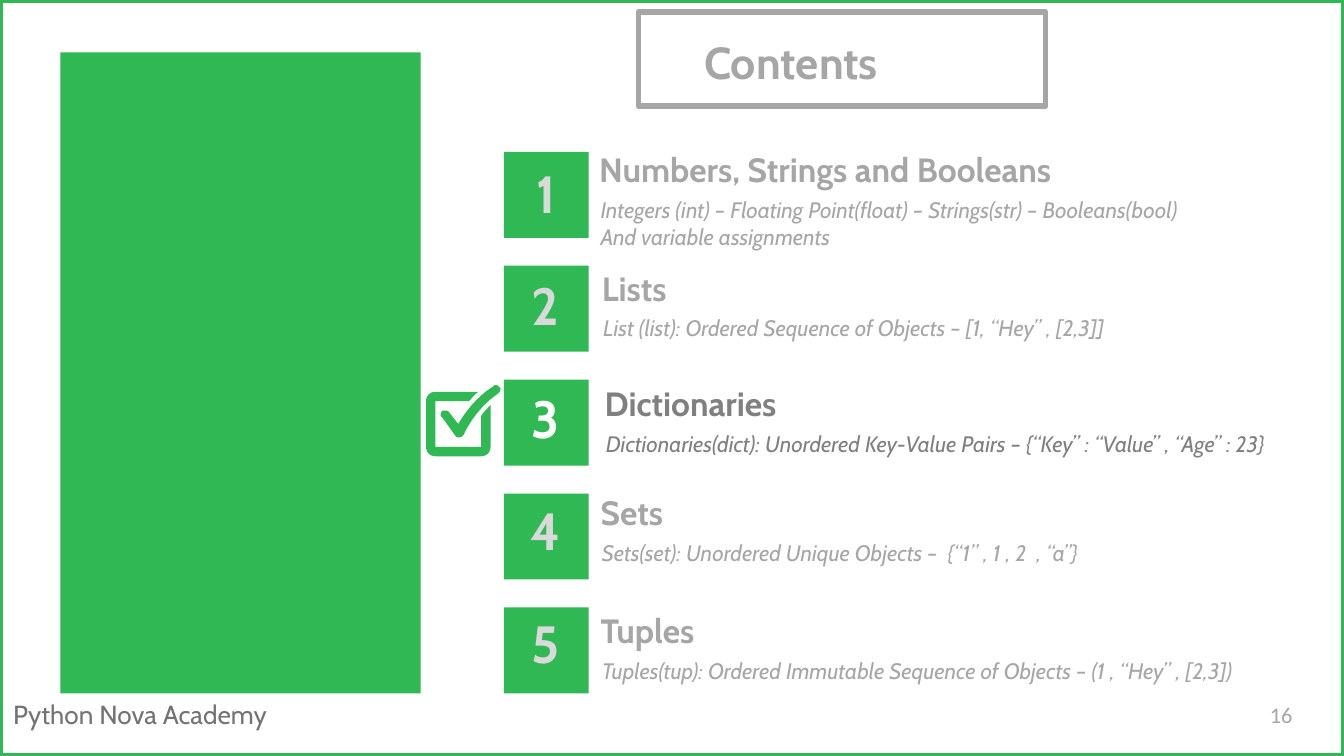
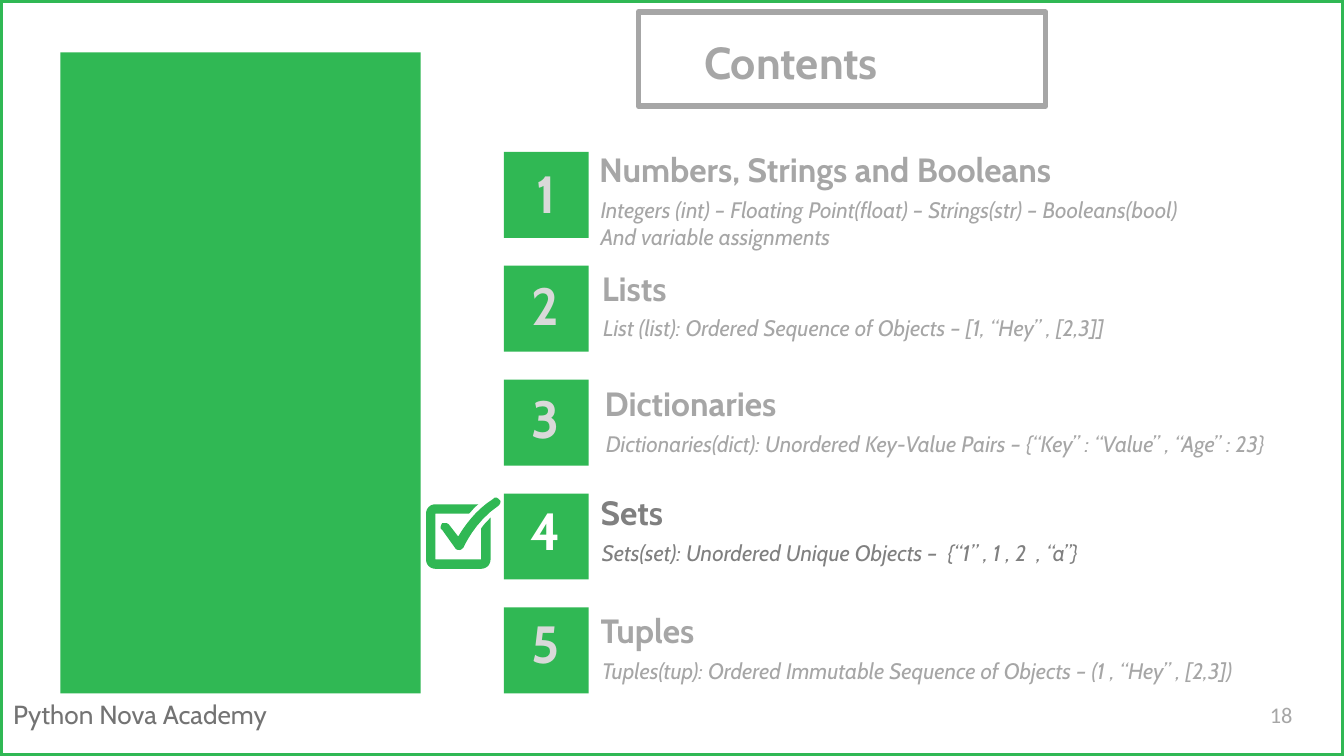
from pptx import Presentation
from pptx.dml.color import RGBColor
from pptx.enum.shapes import MSO_SHAPE
from pptx.enum.text import MSO_ANCHOR, PP_ALIGN
from pptx.util import Inches, Pt

GREEN, GREY, DARK = "30B854", "A6A6A6", "808080"
PALE, WHITE, SLATE = "D9D9D9", "FFFFFF", "737373"
WIDE = 10
HIGH = WIDE * 9 / 16
TOP, STEP = 1.13, (4.52 - 1.13) / 4
NUM_TOP, NUM_STEP = 1.08, (4.43 - 1.08) / 4

TOPICS = [
    ("Numbers, Strings and Booleans",
     ["Integers (int) – Floating Point(float) – Strings(str) – Booleans(bool)",
      "And variable assignments"], 4.36, 1, 4.97),
    ("Lists", ["List (list): Ordered Sequence of Objects – [1, “Hey” , [2,3]]"],
     4.38, 1.88, 4.97),
    ("Dictionaries",
     ["Dictionaries(dict): Unordered Key-Value Pairs – {“Key” : “Value” , “Age” : 23}"],
     4.4, 2.74, 5.54),
    ("Sets", ["Sets(set): Unordered Unique Objects –  {“1” , 1 , 2  , “a”}"],
     4.37, 3.55, 4.97),
    ("Tuples",
     ["Tuples(tup): Ordered Immutable Sequence of Objects – (1 , “Hey” , [2,3])"],
     4.37, 4.43, 5.24),
]

TICK = [(0.52, 0), (0.51, 0, 0.51, 0, 0.5, 0.01), (0.37, 0.09, 0.28, 0.22, 0.24, 0.29),
        (0.17, 0.2), (0.16, 0.19, 0.15, 0.19, 0.14, 0.19),
        (0.14, 0.19, 0.13, 0.19, 0.12, 0.19), (0.11, 0.21, 0.1, 0.23, 0.12, 0.24),
        (0.22, 0.38), (0.23, 0.39, 0.24, 0.39, 0.25, 0.39),
        (0.26, 0.39, 0.27, 0.38, 0.28, 0.37), (0.28, 0.37, 0.36, 0.18, 0.54, 0.06),
        (0.55, 0.05, 0.56, 0.03, 0.55, 0.02), (0.54, 0.01, 0.53, 0, 0.52, 0)]
BOX = [(0.41, 0.23), (0.41, 0.46), (0.07, 0.46), (0.07, 0.12), (0.32, 0.12),
       (0.34, 0.1, 0.36, 0.07, 0.39, 0.05), (0.07, 0.05),
       (0.03, 0.05, 0, 0.08, 0, 0.12), (0, 0.46), (0, 0.5, 0.03, 0.53, 0.07, 0.53),
       (0.41, 0.53), (0.45, 0.53, 0.48, 0.5, 0.48, 0.46), (0.48, 0.15),
       (0.45, 0.18, 0.43, 0.2, 0.41, 0.23)]


def tint(code):
    """Turn a hex string into a colour."""
    return RGBColor.from_string(code)


def paint(shape, fill=None, line=None):
    """Set the fill and line of a shape."""
    shape.shadow.inherit = False
    if fill:
        shape.fill.solid()
        shape.fill.fore_color.rgb = tint(fill)
    else:
        shape.fill.background()
    if line:
        shape.line.color.rgb = tint(line)
        shape.line.width = Pt(3)
    else:
        shape.line.fill.background()


def add_rect(slide, at, **look):
    """Draw a rectangle."""
    spot = [Inches(n) for n in at]
    paint(slide.shapes.add_shape(MSO_SHAPE.RECTANGLE, *spot), **look)


def add_text(slide, at, lines, size, hue, anchor=MSO_ANCHOR.MIDDLE, inset=0.1,
             para=None, **style):
    """Write lines of text in one style."""
    frame = slide.shapes.add_textbox(*[Inches(n) for n in at]).text_frame
    form = {"word_wrap": True, "vertical_anchor": anchor,
            "margin_left": Inches(0.1), "margin_right": Inches(0.1),
            "margin_top": Inches(inset), "margin_bottom": Inches(inset)}
    for key, value in form.items():
        setattr(frame, key, value)
    font = {"name": "Cabin", "size": Pt(size), **style}
    for i, line in enumerate(lines):
        item = frame.add_paragraph() if i else frame.paragraphs[0]
        for key, value in (para or {}).items():
            setattr(item, key, value)
        run = item.add_run()
        run.text = line
        for key, value in font.items():
            setattr(run.font, key, value)
        run.font.color.rgb = tint(hue)


def trace(steps, count=8):
    """Turn line and curve steps into points."""
    dots = [steps[0]]
    for step in steps[1:]:
        if len(step) == 2:
            dots.append(step)
            continue
        ends = [dots[-1], step[:2], step[2:4], step[4:]]
        for k in range(1, count + 1):
            t = k / count
            mix = [(1 - t) ** 3, 3 * t * (1 - t) ** 2, 3 * t * t * (1 - t), t ** 3]
            dots.append(tuple(sum(m * e[a] for m, e in zip(mix, ends)) for a in (0, 1)))
    return dots


def add_check(slide, left, top):
    """Draw the ticked box."""
    group = slide.shapes.add_group_shape()
    for steps in (TICK, BOX):
        dots = [(Inches(left + x), Inches(top + y)) for x, y in trace(steps)]
        pen = group.shapes.build_freeform(*dots[0])
        pen.add_line_segments(dots[1:], close=True)
        paint(pen.convert_to_shape(), fill=GREEN)


def add_base(slide, page):
    """Draw the frame, panel, heading and footer."""
    add_text(slide, (0, 5.15, 2.55, 0.34), ["Python Nova Academy"], 14, SLATE,
             MSO_ANCHOR.TOP, 0.05)
    add_rect(slide, (4.75, 0.09, 3.03, 0.7), line=GREY)
    add_rect(slide, (0.45, 0.39, 2.68, 4.77), fill=GREEN)
    add_rect(slide, (0, 0, WIDE, HIGH), line=GREEN)
    add_text(slide, (5.14, 0.22, 2.12, 0.41), ["Contents"], 24, GREY,
             para={"line_spacing": 1.15}, bold=True)
    add_text(slide, (9.35, 5.1, 0.6, 0.43), [str(page)], 12, GREY, name="Calibri")


def add_topic(slide, i, active):
    """Draw one numbered topic, ticked when active."""
    title, notes, left, top, width = TOPICS[i]
    hue = DARK if active else GREY
    num_top = NUM_TOP + i * NUM_STEP
    add_rect(slide, (3.75, TOP + i * STEP, 0.63, 0.64), fill=GREEN)
    add_text(slide, (3.37, num_top, 1.38, 0.7), [str(i + 1)], 28,
             WHITE if active else PALE, para={"alignment": PP_ALIGN.CENTER}, bold=True)
    add_text(slide, (left, top, 5.79, 0.51), [title], 18, hue,
             MSO_ANCHOR.BOTTOM, bold=True)
    add_text(slide, (left + 0.01, top + 0.36, width, 0.55), notes, 12, hue,
             MSO_ANCHOR.TOP, italic=True)
    if active:
        add_check(slide, 3.17, num_top + 0.11)


def main():
    """Build both contents slides."""
    deck = Presentation()
    deck.slide_width, deck.slide_height = Inches(WIDE), Inches(HIGH)
    for page, pick in ((16, 2), (18, 3)):
        slide = deck.slides.add_slide(deck.slide_layouts[6])
        add_base(slide, page)
        for i in range(len(TOPICS)):
            add_topic(slide, i, i == pick)
    deck.save("out.pptx")


if __name__ == "__main__":
    main()
